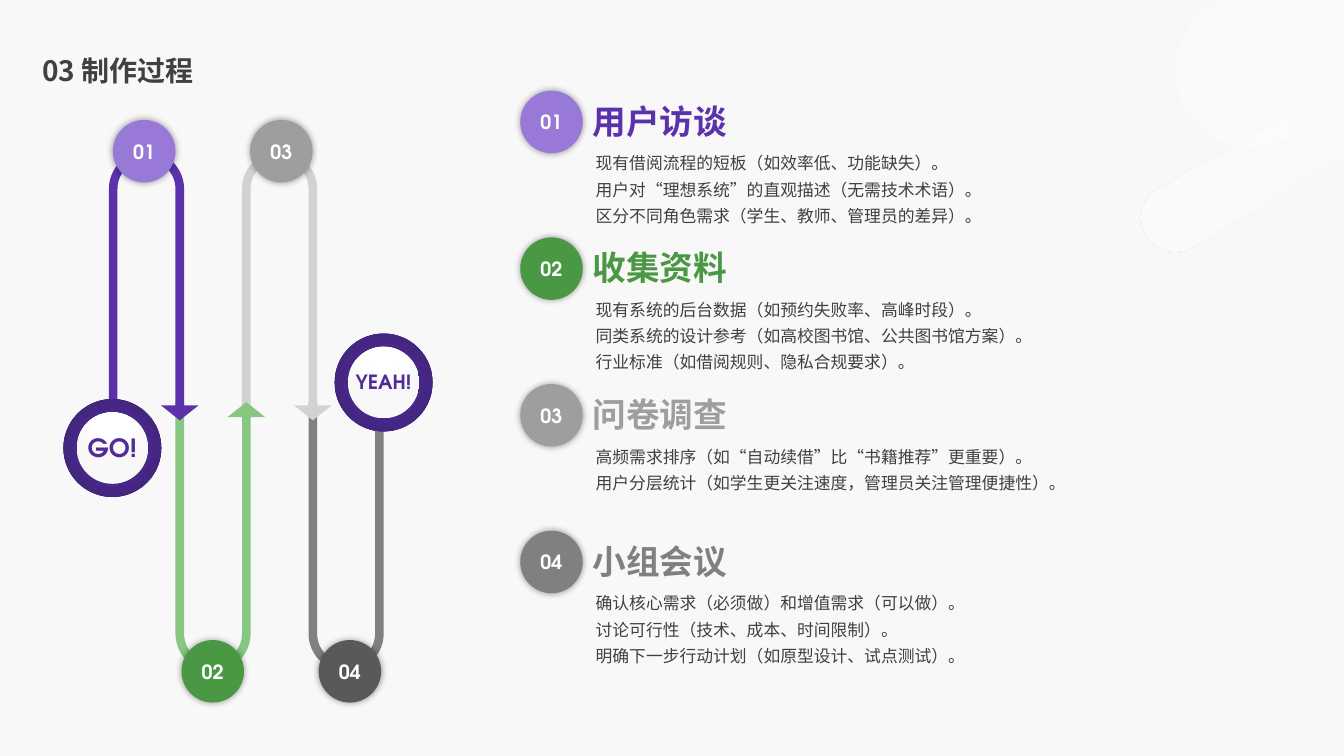
"""Build the slide on the production process with its winding route and four steps."""
import math

from lxml import etree
from pptx import Presentation
from pptx import util as u
from pptx.dml.color import RGBColor
from pptx.enum import shapes, text
from pptx.oxml.ns import nsdecls, qn

TITLE = "03 制作过程"
STEPS = [
    ("用户访谈", "violet", ["现有借阅流程的短板（如效率低、功能缺失）。",
                        "用户对“理想系统”的直观描述（无需技术术语）。",
                        "区分不同角色需求（学生、教师、管理员的差异）。"]),
    ("收集资料", "green", ["现有系统的后台数据（如预约失败率、高峰时段）。",
                       "同类系统的设计参考（如高校图书馆、公共图书馆方案）。",
                       "行业标准（如借阅规则、隐私合规要求）。"]),
    ("问卷调查", "silver", ["高频需求排序（如“自动续借”比“书籍推荐”更重要）。",
                        "用户分层统计（如学生更关注速度，管理员关注管理便捷性）。"]),
    ("小组会议", "grey", ["确认核心需求（必须做）和增值需求（可以做）。",
                      "讨论可行性（技术、成本、时间限制）。",
                      "明确下一步行动计划（如原型设计、试点测试）。"]),
]
HEAD_COLORS = ["purple", "green", "silver", "grey"]
NODE_COLORS = ["violet", "green", "silver", "dark"]
ARROW_COLORS = ["purple", "lime", "pale", "grey"]
STOPS = [("GO!", 18, 0.63, 3.96), ("YEAH!", 14, 3.32, 3.31)]
PILLS = [
    ((12.41, 0.7), 0.755, [(13.33, 1.04), (13.33, 0), (12.1, 0)], [(0, 50), (100, 33)]),
    ((11.66, 2.16), 0.335, [(13.33, 1.58), (13.33, 0.81)], [(0, 50), (47, 29), (100, 20)]),
]

COLORS = {
    "back": "F8F8F8", "text": "404040", "white": "FFFFFF", "purple": "5B32AB",
    "violet": "9979D8", "green": "4A9744", "lime": "87C782", "silver": "9E9E9E",
    "pale": "D2D2D2", "grey": "808080", "dark": "595959", "ink": "512C98",
    "ink_mid": "442580", "ink_edge": "402378",
}
LATIN, CJK = "TeX Gyre Adventor", "Noto Sans CJK SC"
RING = [(0, "ink"), (23, "ink"), (69, "ink_mid"), (97, "ink_edge")]
DISC = [(0, "white"), (35, "white"), (100, "back")]
DOT, STEP_TOP, STEP_GAP = 0.62, 0.9, 1.455
ADJUST = [0.096, 0.21, 0.167, 0.438, 1]
PLAIN = {"word_wrap": True, "vertical_anchor": text.MSO_ANCHOR.TOP}
LOOSE = {"word_wrap": False, "vertical_anchor": text.MSO_ANCHOR.TOP}
MIDDLE = {"word_wrap": True, "vertical_anchor": text.MSO_ANCHOR.MIDDLE}
TIGHT = {"margin_left": 0, "margin_right": 0, "margin_top": 0, "margin_bottom": 0}
CENTER = {"alignment": text.PP_ALIGN.CENTER}


def rgb(name):
    return RGBColor.from_string(COLORS[name])


def apply(obj, values):
    for key, value in values.items():
        setattr(obj, key, value)


def write(sp, lines, size, color, latin=LATIN, bold=True, frame=PLAIN, para=None):
    tf = sp.text_frame
    apply(tf, frame)
    for i, line in enumerate(lines):
        p = tf.paragraphs[0] if i == 0 else tf.add_paragraph()
        apply(p, para or {})
        r = p.add_run()
        r.text = line
        apply(r.font, {"size": u.Pt(size), "bold": bold, "name": latin})
        r.font.color.rgb = rgb(color)
        etree.SubElement(r.font._element, qn("a:ea")).set("typeface", CJK)


def box(s, at, *args, **kwargs):
    sp = s.shapes.add_textbox(*map(u.Inches, at))
    write(sp, *args, **kwargs)


def clean(sp, color=None):
    sp.shadow.inherit = False
    sp.line.fill.background()
    if color:
        sp.fill.solid()
        sp.fill.fore_color.rgb = rgb(color)
    return sp


def shape(s, kind, at, color=None):
    return clean(s.shapes.add_shape(kind, *map(u.Inches, at)), color)


def gradient(sp, stops, direction):
    marks = "".join(
        f'<a:gs pos="{pos * 1000}"><a:srgbClr val="{COLORS[name]}">'
        f'<a:alpha val="{alpha * 1000}"/></a:srgbClr></a:gs>' for pos, name, alpha in stops)
    sp._element.spPr.insert(2, etree.fromstring(
        f'<a:gradFill {nsdecls("a")} rotWithShape="1"><a:gsLst>{marks}</a:gsLst>'
        f'{direction}</a:gradFill>'))


def circle(s, left, top, size, stops, rise):
    sp = shape(s, shapes.MSO_SHAPE.OVAL, (left, top, size, size))
    gradient(sp, [(pos, name, 100) for pos, name in stops],
             f'<a:path path="circle"><a:fillToRect l="50000" t="{rise * 1000}" '
             f'r="50000" b="{(100 - rise) * 1000}"/></a:path>')


def badge(s, left, top, number, color):
    sp = shape(s, shapes.MSO_SHAPE.OVAL, (left, top, DOT, DOT), color)
    sp._element.spPr.find(qn("a:effectLst")).append(etree.fromstring(
        f'<a:outerShdw {nsdecls("a")} blurRad="{u.Pt(5)}" dist="0" algn="ctr">'
        '<a:srgbClr val="000000"><a:alpha val="40000"/></a:srgbClr></a:outerShdw>'))
    write(sp, [f"{number:02d}"], 14, "white", frame={**MIDDLE, **TIGHT}, para=CENTER)


def pill(s, center, radius, corners, fades):
    arc = [(center[0] + radius * math.cos(math.radians(a)),
            center[1] + radius * math.sin(math.radians(a))) for a in range(240, 59, -5)]
    points = [(u.Inches(x), u.Inches(y)) for x, y in arc + corners]
    fb = s.shapes.build_freeform(*points[0])
    fb.add_line_segments(points[1:], close=True)
    sp = clean(fb.convert_to_shape())
    gradient(sp, [(pos, "white", alpha) for pos, alpha in fades],
             f'<a:lin ang="{330 * 60000}" scaled="0"/>')


def route(s):
    for i in reversed(range(len(ARROW_COLORS))):
        at = (1.08 + 0.66 * i, 3.99 if i % 2 else 1.5, 0.89, 2.67)
        sp = shape(s, shapes.MSO_SHAPE.U_TURN_ARROW, at, ARROW_COLORS[i])
        for j, value in enumerate(ADJUST):
            sp.adjustments[j] = value
        if i % 2:
            sp._element.spPr.find(qn("a:xfrm")).set("flipV", "1")
    for i, color in enumerate(NODE_COLORS):
        badge(s, 1.12 + 0.68 * i, 6.35 if i % 2 else 1.19, i + 1, color)
    for label, size, left, top in STOPS:
        circle(s, left, top, 0.97, RING, 50)
        circle(s, left + 0.13, top + 0.13, 0.71, DISC, -80)
        height = size / 45
        box(s, (left + 0.1, top + 0.48 - height / 2, 0.77, height), [label], size, "ink",
            frame={**LOOSE, **TIGHT, "vertical_anchor": text.MSO_ANCHOR.MIDDLE}, para=CENTER)


def steps(s):
    for i, (head, color, lines) in enumerate(STEPS):
        top = STEP_TOP + STEP_GAP * i
        box(s, (5.81, top + 0.51, 6.84, 0.08 + 0.27 * len(lines)), lines, 12, "text",
            latin=CJK, bold=False, para={"line_spacing": 1.3})
        box(s, (5.78, top + 0.05, 1.53, 0.5), [head], 24, HEAD_COLORS[i], frame=LOOSE)
        badge(s, 5.16, top, i + 1, color)


def main():
    prs = Presentation()
    apply(prs, {"slide_width": u.Inches(13.33), "slide_height": u.Inches(7.5)})
    s = prs.slides.add_slide(prs.slide_layouts[6])
    s.background.fill.solid()
    s.background.fill.fore_color.rgb = rgb("back")
    for parts in PILLS:
        pill(s, *parts)
    box(s, (0.32, 0.43, 4.99, 0.58), [TITLE], 20, "text", latin=CJK, frame=MIDDLE,
        para={"line_spacing": 0.9})
    route(s)
    steps(s)
    prs.save("out.pptx")


if __name__ == "__main__":
    main()
